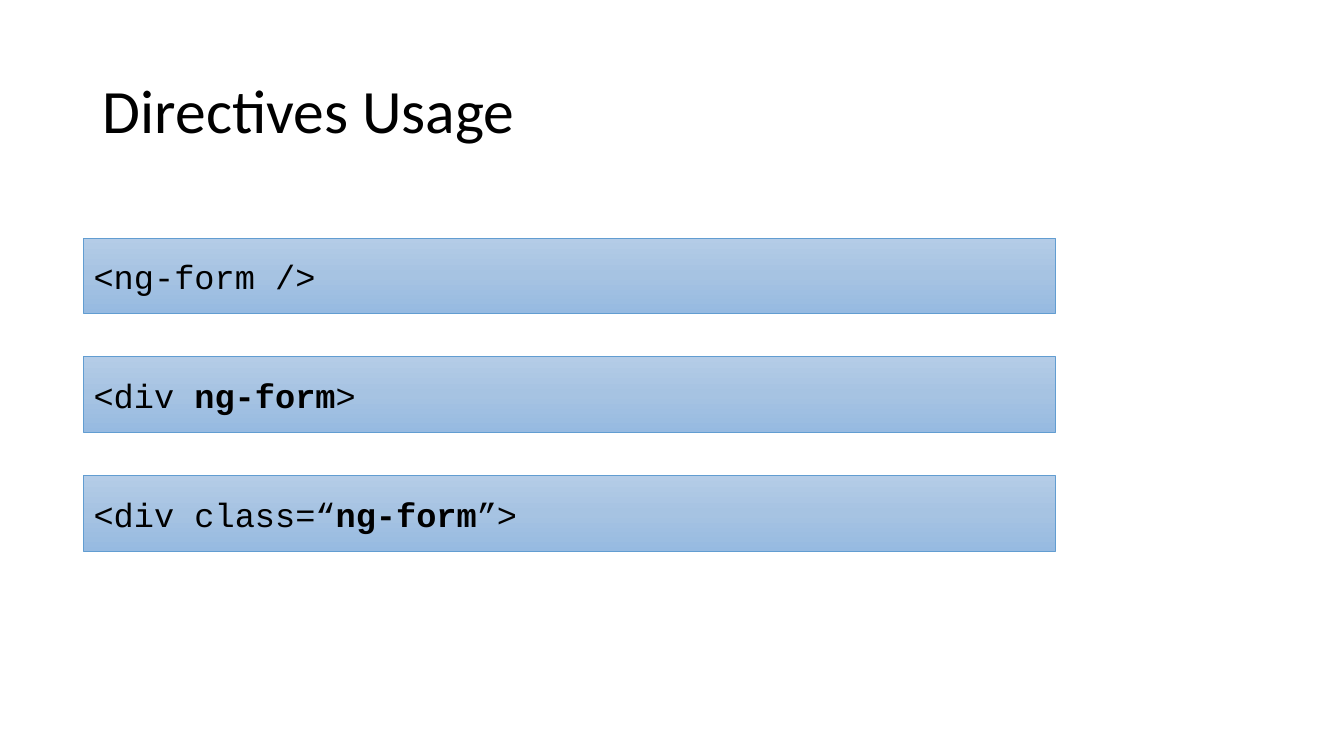
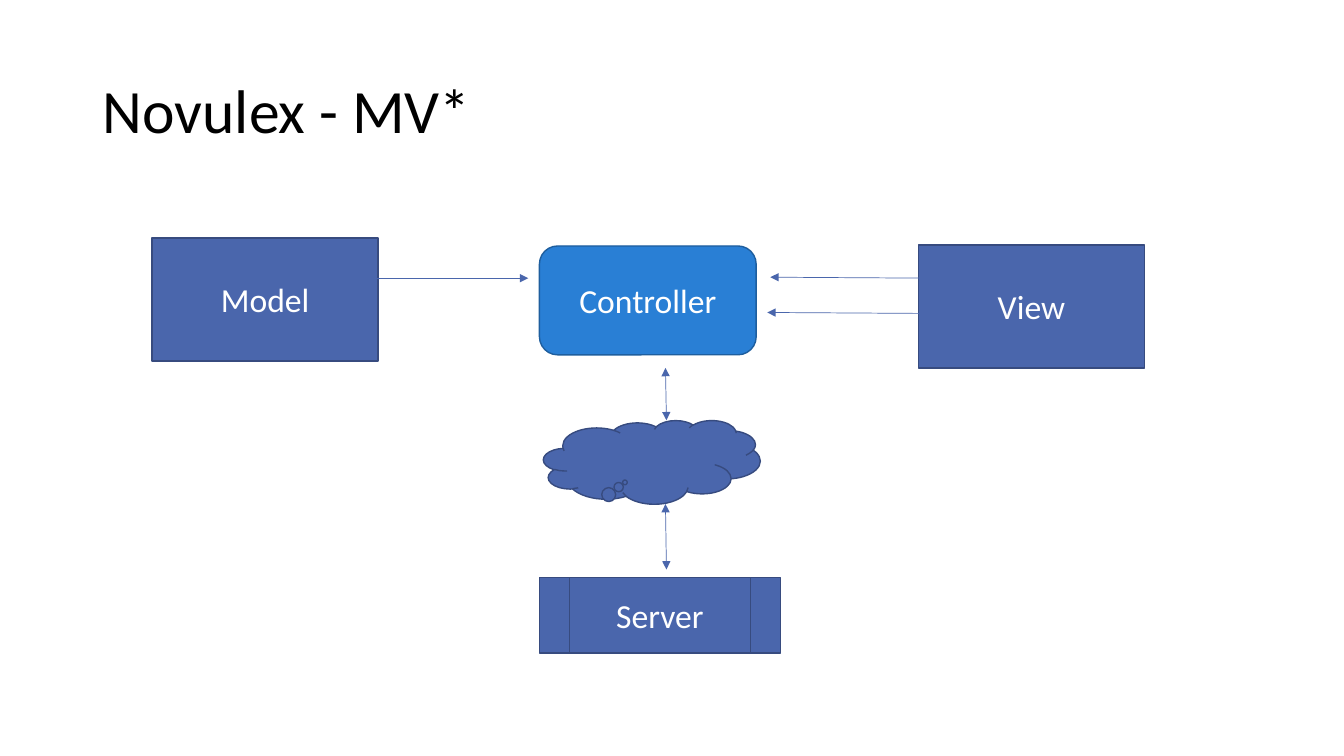
from copy import deepcopy

from pptx import Presentation
from pptx.dml.color import RGBColor
from pptx.enum.shapes import MSO_CONNECTOR, MSO_SHAPE
from pptx.enum.text import MSO_ANCHOR, PP_ALIGN
from pptx.oxml.ns import qn
from pptx.util import Inches, Pt

BLACK = RGBColor(0x00, 0x00, 0x00)
WHITE = RGBColor(0xFF, 0xFF, 0xFF)
INDIGO = RGBColor(0x4A, 0x66, 0xAC)
INDIGO_EDGE = RGBColor(0x37, 0x4B, 0x7F)
AZURE = RGBColor(0x29, 0x7F, 0xD5)
AZURE_EDGE = RGBColor(0x1E, 0x5E, 0x9E)
CODE_EDGE = RGBColor(0x62, 0x9D, 0xD1)
CODE_GRADIENT = (
    RGBColor(0xB4, 0xCC, 0xE7),
    RGBColor(0xA6, 0xC3, 0xE2),
    RGBColor(0x96, 0xBA, 0xE1),
)


def write_text(shape, *pieces, size=24, font="Calibri", color=WHITE,
               align=PP_ALIGN.CENTER, spacing=None, bold_pieces=()):
    frame = shape.text_frame
    frame.word_wrap = True
    frame.vertical_anchor = MSO_ANCHOR.MIDDLE
    paragraph = frame.paragraphs[0]
    paragraph.alignment = align
    paragraph.line_spacing = spacing
    for index, piece in enumerate(pieces):
        run = paragraph.add_run()
        run.text = piece
        run.font.name = font
        run.font.size = Pt(size)
        run.font.bold = index in bold_pieces
        run.font.color.rgb = color


class Deck:
    body_font = "Calibri"
    code_font = "Courier New"

    def __init__(self):
        self.presentation = Presentation()
        self.presentation.slide_width = Inches(13.33)
        self.presentation.slide_height = Inches(7.5)
        self.slide = None

    def start_slide(self, heading):
        layout = self.presentation.slide_layouts[5]
        self.slide = self.presentation.slides.add_slide(layout)
        title = self.slide.shapes.title
        title.left, title.top = Inches(0.92), Inches(0.4)
        title.width, title.height = Inches(11.5), Inches(1.45)
        write_text(title, heading, size=44, font=self.body_font, color=BLACK,
                   align=PP_ALIGN.LEFT, spacing=0.9)

    def block(self, kind, left, top, width, height,
              fill=INDIGO, edge=INDIGO_EDGE, edge_width=1):
        block = self.slide.shapes.add_shape(
            kind, Inches(left), Inches(top), Inches(width), Inches(height))
        block.shadow.inherit = False
        block.fill.solid()
        block.fill.fore_color.rgb = fill
        block.line.color.rgb = edge
        block.line.width = Pt(edge_width)
        return block

    def node(self, label, kind, *box, **style):
        write_text(self.block(kind, *box, **style), label, font=self.body_font)

    def code_bar(self, top, *pieces):
        bar = self.block(MSO_SHAPE.RECTANGLE, 0.83, top, 9.64, 0.75,
                         edge=CODE_EDGE, edge_width=0.5)
        bar.fill.gradient()
        bar.fill.gradient_angle = 270
        stop_list = next(bar._element.spPr.iter(qn("a:gsLst")))
        stop_list.insert(1, deepcopy(stop_list[0]))
        for index, (stop, color) in enumerate(
                zip(bar.fill.gradient_stops, CODE_GRADIENT)):
            stop.position = index / 2
            stop.color.rgb = color
        write_text(bar, *pieces, font=self.code_font, color=BLACK,
                   align=PP_ALIGN.LEFT, bold_pieces=(1,))

    def arrow(self, start, end, ends=("headEnd", "tailEnd")):
        arrow = self.slide.shapes.add_connector(
            MSO_CONNECTOR.STRAIGHT, *map(Inches, start + end))
        arrow.line.color.rgb = INDIGO
        arrow.line.width = Pt(0.5)
        properties = arrow._element.spPr
        outline = properties.find(qn("a:ln"))
        for tag in ends:
            tip = outline.makeelement(qn(f"a:{tag}"), {"type": "triangle"})
            outline.append(tip)
        properties.append(properties.makeelement(qn("a:effectLst"), {}))

    def save(self):
        self.presentation.save("out.pptx")


def build_directives(deck):
    deck.start_slide("Directives Usage")
    usages = (
        ("<ng-form />",),
        ("<div ", "ng-form", ">"),
        ("<div class=“", "ng-form", "”>"),
    )
    for row, usage in enumerate(usages):
        deck.code_bar(2.36 + 1.18 * row, *usage)


def build_architecture(deck):
    deck.start_slide("Novulex - MV*")
    deck.node("Controller", MSO_SHAPE.ROUNDED_RECTANGLE, 5.35, 2.44, 2.15, 1.08,
              fill=AZURE, edge=AZURE_EDGE)
    for label, left, top in (("View", 9.11, 2.43), ("Model", 1.51, 2.36)):
        deck.node(label, MSO_SHAPE.RECTANGLE, left, top, 2.24, 1.22)

    deck.arrow((3.6, 2.76), (5.24, 2.76), ends=("tailEnd",))
    for left, top in ((7.64, 2.75), (7.61, 3.1)):
        deck.arrow((left, top), (left + 1.64, top + 0.01))

    cloud = deck.block(MSO_SHAPE.CLOUD_CALLOUT, 5.39, 4.17, 2.15, 0.83)
    cloud.adjustments[0] = -0.124
    cloud.adjustments[1] = 0.242
    deck.node("Server", MSO_SHAPE.FLOWCHART_PREDEFINED_PROCESS,
              5.35, 5.73, 2.39, 0.75)
    for top, bottom in ((3.65, 4.17), (5, 5.65)):
        deck.arrow((6.6, top), (6.61, bottom))


def main():
    deck = Deck()
    build_directives(deck)
    build_architecture(deck)
    deck.save()


if __name__ == "__main__":
    main()
